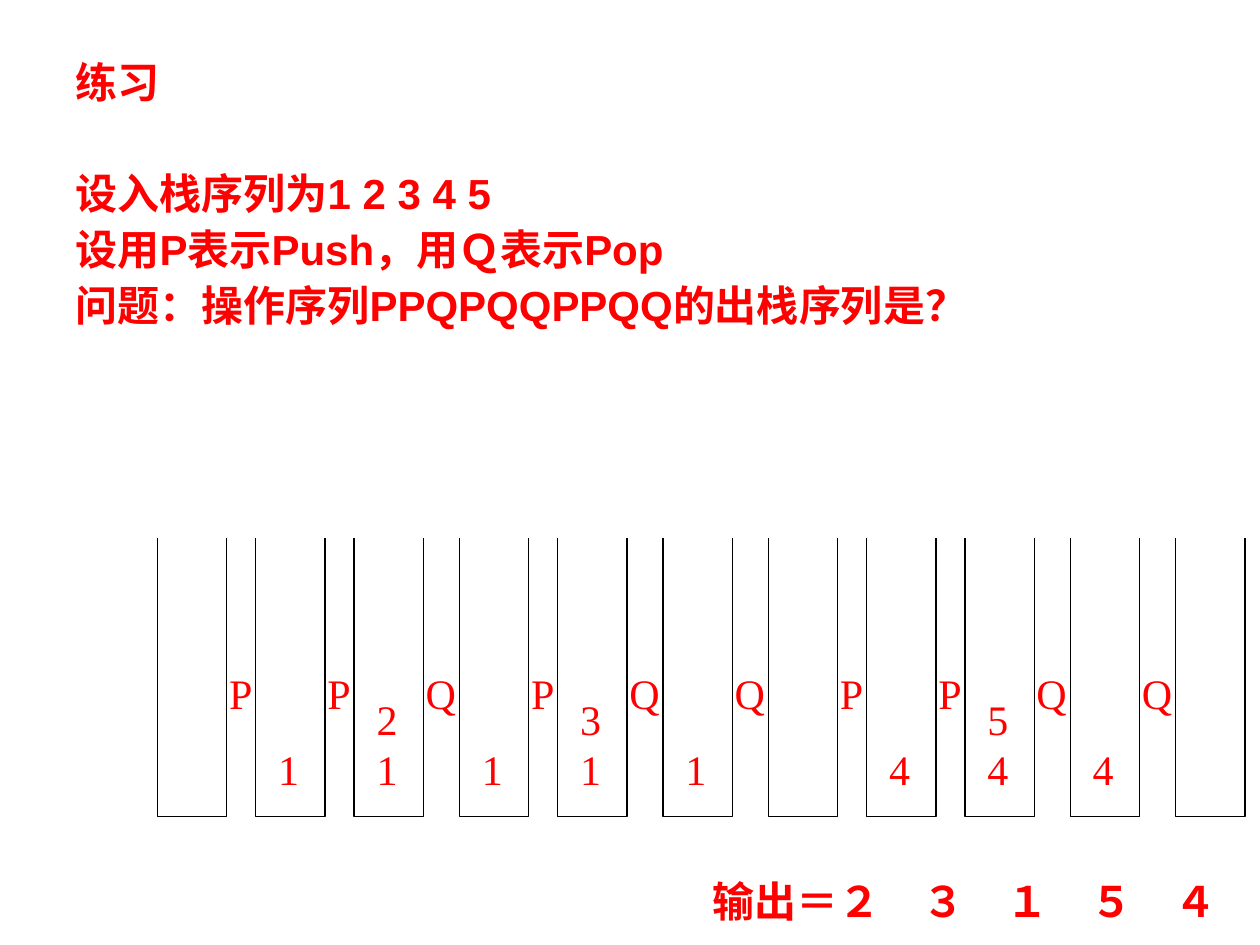
from dataclasses import dataclass

from lxml import etree
from pptx import Presentation
from pptx.dml.color import RGBColor
from pptx.enum.text import MSO_ANCHOR, MSO_AUTO_SIZE
from pptx.oxml.ns import qn
from pptx.util import Inches, Pt


@dataclass(frozen=True)
class Theme:
    text: RGBColor = RGBColor(0xFF, 0x00, 0x00)
    line: RGBColor = RGBColor(0x00, 0x00, 0x00)
    sans: str = "Arial"
    serif: str = "Times New Roman"
    size: Pt = Pt(24)
    outline: Pt = Pt(0.75)


QUESTION = [
    "练习",
    "设入栈序列为1 2 3 4 5",
    "设用P表示Push，用Ｑ表示Pop",
    "问题：操作序列PPQPQQPPQQ的出栈序列是？",
]
OPERATIONS = "PPQPQQPPQQ"
OUTPUT = "输出＝２　３　１　５　４"

FIRST_X, LAST_X = 1.25, 9.33
STACK_Y, STACK_W, STACK_H = 4.27, 0.55, 2.21
PUSH_STEP = 0.78
POP_STEP = (LAST_X - FIRST_X - OPERATIONS.count("P") * PUSH_STEP) / OPERATIONS.count("Q")
STEP = {"P": PUSH_STEP, "Q": POP_STEP}
LABEL_W = {"P": 0.38, "Q": 0.44}


class SlideBuilder:
    def __init__(self, slide, theme):
        self.slide = slide
        self.theme = theme

    def fill_paragraph(self, p, text, font=None, bold=False, before=0, spacing=None):
        p.space_before = Pt(before)
        p.line_spacing = spacing
        r = p.add_run()
        r.text = text
        r.font.name = font or self.theme.serif
        r.font.size = self.theme.size
        r.font.bold = bold
        r.font.color.rgb = self.theme.text

    def body(self, lines, x, y, w, h):
        """Fill the body placeholder, setting the first line apart as a heading."""
        sp = self.slide.placeholders[1]
        sp.left, sp.top, sp.width, sp.height = map(Inches, (x, y, w, h))
        tf = sp.text_frame
        tf.auto_size = MSO_AUTO_SIZE.NONE
        for i, line in enumerate(lines):
            p = tf.add_paragraph() if i else tf.paragraphs[0]
            pPr = p._p.get_or_add_pPr()
            pPr.set("marL", str(Inches(0.38)))
            pPr.set("indent", str(-Inches(0.38)))
            etree.SubElement(pPr, qn("a:buNone"))
            before = {0: 0, 1: 38}.get(i, 6)
            self.fill_paragraph(p, line, font=self.theme.sans, bold=True,
                                before=before, spacing=0.9)

    def text(self, lines, x, y, w, h, shapes=None, anchor=MSO_ANCHOR.TOP, **fmt):
        sp = (shapes or self.slide.shapes).add_textbox(*map(Inches, (x, y, w, h)))
        tf = sp.text_frame
        tf.word_wrap = False
        tf.vertical_anchor = anchor
        for i, line in enumerate(lines):
            p = tf.add_paragraph() if i else tf.paragraphs[0]
            self.fill_paragraph(p, line, **fmt)

    def stack(self, items, x):
        """Draw an open-topped stack with its newest item uppermost."""
        shapes = self.slide.shapes.add_group_shape().shapes
        left, right = Inches(x), Inches(x + STACK_W)
        top, bottom = Inches(STACK_Y), Inches(STACK_Y + STACK_H)
        fb = shapes.build_freeform(left, top)
        fb.add_line_segments([(left, bottom), (right, bottom), (right, top)], close=False)
        sp = fb.convert_to_shape()
        sp.shadow.inherit = False
        sp.fill.background()
        sp.line.color.rgb = self.theme.line
        sp.line.width = self.theme.outline
        if items:
            self.text([str(n) for n in reversed(items)], x + 0.08, 4.25, 0.36, 2.1,
                      shapes=shapes, anchor=MSO_ANCHOR.BOTTOM, spacing=Pt(28.8))

    def operation(self, op, x):
        self.text([op], x + 0.47, 5.25, LABEL_W[op], 0.5)


def draw_operations(s):
    """Run the operations on a stack and draw its state after each one."""
    items, pushed, x = [], 0, FIRST_X
    s.stack(items, x)
    for op in OPERATIONS:
        s.operation(op, x)
        if op == "P":
            pushed += 1
            items.append(pushed)
        else:
            items.pop()
        x += STEP[op]
        s.stack(items, x)


def main():
    prs = Presentation()
    prs.slide_width, prs.slide_height = Inches(10), Inches(7.5)
    slide = prs.slides.add_slide(prs.slide_layouts[1])
    title = slide.shapes.title.element
    title.getparent().remove(title)

    s = SlideBuilder(slide, Theme())
    s.body(QUESTION, 0.5, 0.44, 9, 3)
    draw_operations(s)
    s.text([OUTPUT], 5.56, 6.9, 4.2, 0.5, bold=True)
    prs.save("out.pptx")


if __name__ == "__main__":
    main()
